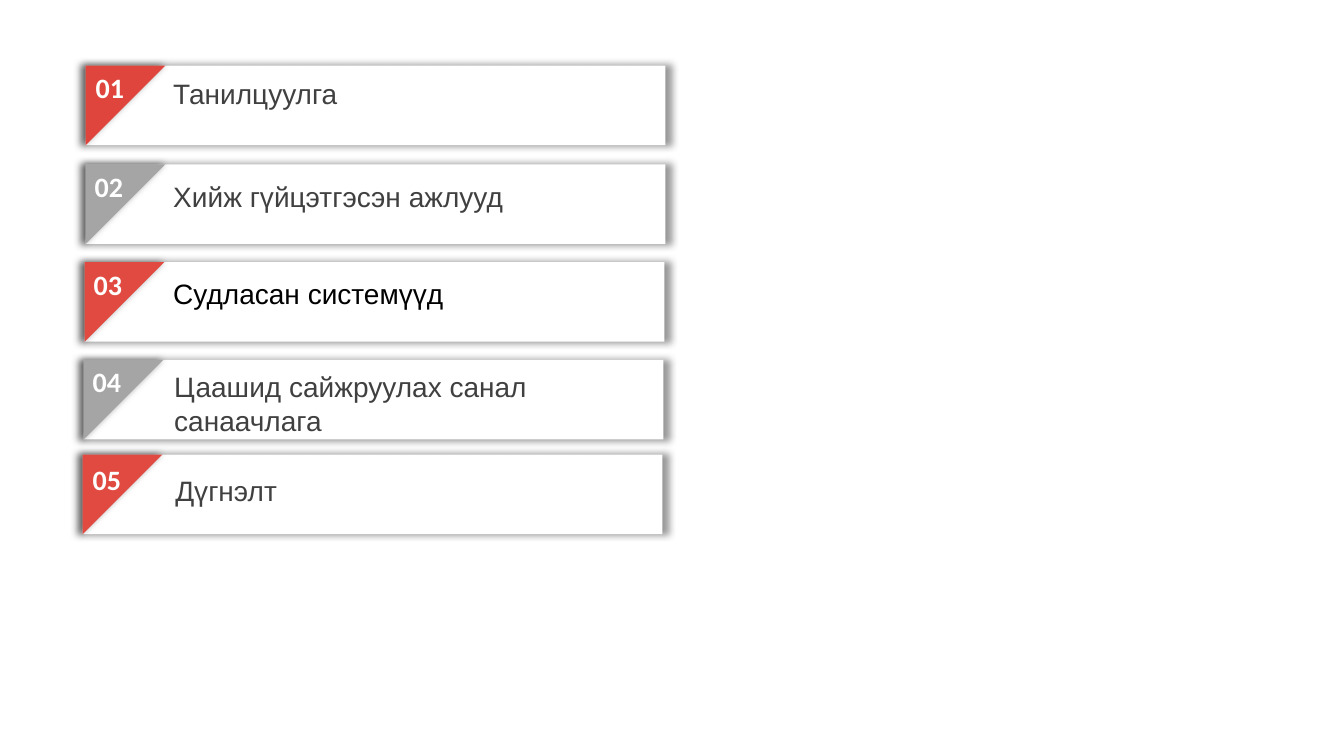
import pptx
import pptx.dml.color
import pptx.enum.shapes
import pptx.enum.text
import pptx.oxml
import pptx.oxml.ns
import pptx.util

Inches = pptx.util.Inches
SHAPE = pptx.enum.shapes.MSO_SHAPE
COLORS = {"red": "DF453C", "coral": "E14A41", "gray": "A5A5A5",
          "white": "FFFFFF", "dark": "404040", "black": "000000"}
SHADOW = (
    f'<a:outerShdw {pptx.oxml.ns.nsdecls("a")} blurRad="63500" sx="102000" '
    'sy="102000" algn="ctr" rotWithShape="0"><a:srgbClr val="000000">'
    '<a:alpha val="40000"/></a:srgbClr></a:outerShdw>')


class Agenda:
    """Draws agenda cards on one slide in a shared style."""

    number = {"name": "Calibri", "bold": True}
    label = {"name": "Arial", "bold": False}
    size = 20
    side = 0.79

    def __init__(self, deck):
        self.slide = deck.slides.add_slide(deck.slide_layouts[6])

    def color(self, name):
        return pptx.dml.color.RGBColor.from_string(COLORS[name])

    def shape(self, group, kind, left, top, width, fill, turn=0):
        item = group.shapes.add_shape(
            kind, Inches(left), Inches(top), Inches(width), Inches(self.side))
        item.rotation = turn
        item.fill.solid()
        item.fill.fore_color.rgb = self.color(fill)
        item.line.fill.background()
        item.shadow.inherit = False
        effects = item.element.spPr.find(pptx.oxml.ns.qn("a:effectLst"))
        effects.append(pptx.oxml.parse_xml(SHADOW))

    def card(self, left, top, fill):
        group = self.slide.shapes.add_group_shape()
        self.shape(group, SHAPE.RECTANGLE, left, top, 5.75, "white")
        self.shape(group, SHAPE.RIGHT_TRIANGLE, left, top, self.side, fill, 90)

    def text(self, words, left, top, width, height, color, style):
        box = self.slide.shapes.add_textbox(
            Inches(left), Inches(top), Inches(width), Inches(height))
        frame = box.text_frame
        frame.word_wrap = True
        frame.auto_size = pptx.enum.text.MSO_AUTO_SIZE.SHAPE_TO_FIT_TEXT
        run = frame.paragraphs[0].add_run()
        run.text = words
        for key, value in style.items():
            setattr(run.font, key, value)
        run.font.size = pptx.util.Pt(self.size)
        run.font.color.rgb = self.color(color)


def main():
    deck = pptx.Presentation()
    deck.slide_width, deck.slide_height = Inches(13.33), Inches(7.5)
    agenda = Agenda(deck)
    topics = [
        ("Танилцуулга", "red", "dark", (0.85, 0.65), (0.85, 0.65), (1.62, 0.71), 0.44),
        ("Хийж гүйцэтгэсэн ажлууд", "gray", "dark", (0.85, 1.63), (0.84, 1.63), (1.62, 1.73), 0.44),
        ("Судласан системүүд", "coral", "black", (0.84, 2.6), (0.83, 2.6), (1.62, 2.69), 0.44),
        ("Цаашид сайжруулах санал санаачлага", "gray", "dark", (0.83, 3.57), (0.82, 3.57), (1.63, 3.62), 0.77),
        ("Дүгнэлт", "coral", "dark", (0.82, 4.51), (0.82, 4.54), (1.64, 4.65), 0.44),
    ]
    for index, (words, fill, ink, card, mark, label, height) in enumerate(topics, 1):
        agenda.card(*card, fill)
        agenda.text(f"{index:02}", *mark, 0.58, 0.44, "white", agenda.number)
        agenda.text(words, *label, 4.8, height, ink, agenda.label)
    deck.save("out.pptx")


if __name__ == "__main__":
    main()
